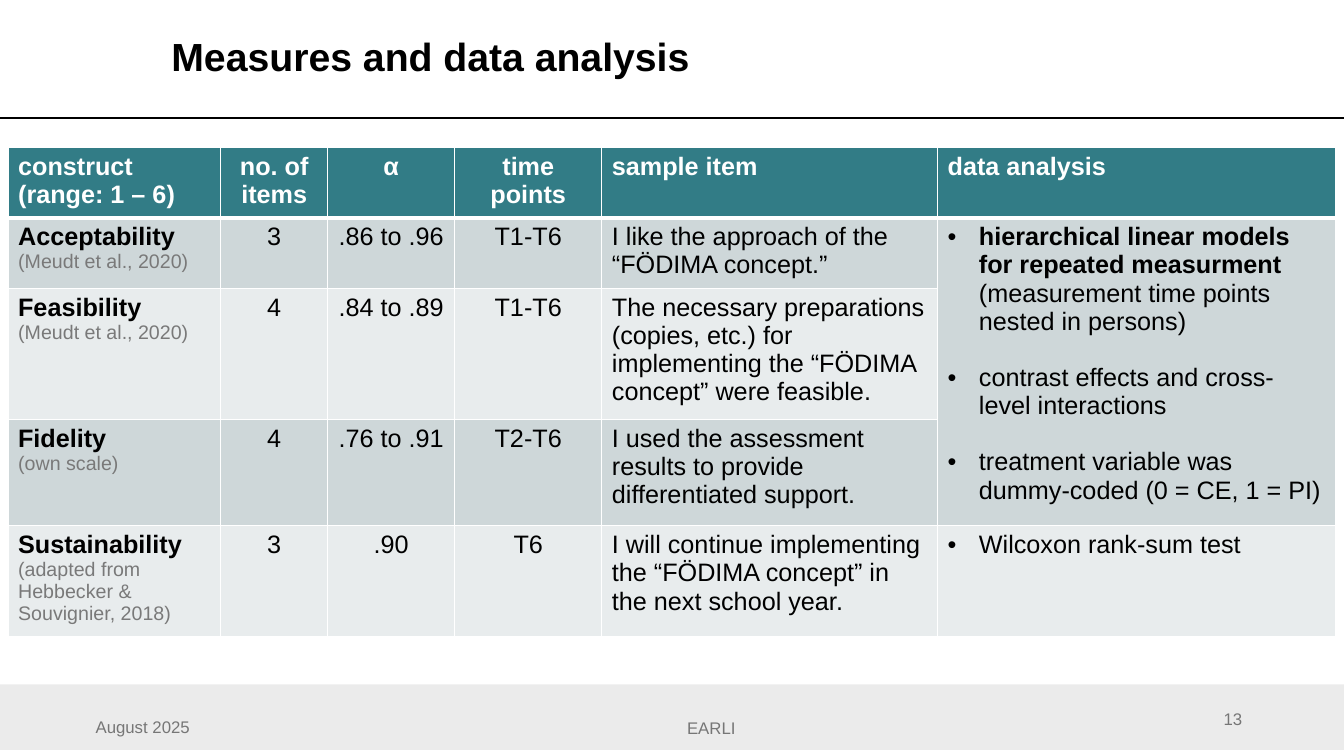
import pptx
import pptx.util
import pptx.dml.color
import pptx.enum.text
import pptx.enum.shapes
import pptx.oxml
import pptx.oxml.ns

Inch = pptx.util.Inches
Pt = pptx.util.Pt
ALIGN = pptx.enum.text.PP_ALIGN
MIDDLE = pptx.enum.text.MSO_ANCHOR.MIDDLE
TOP = pptx.enum.text.MSO_ANCHOR.TOP
WIDE, HIGH = 13.33, 7.5

TEAL, DARK, LIGHT = "327C86", "CED7D9", "E8ECED"
HEAD = {"size": Pt(18), "bold": True, "color": "FFFFFF"}
BODY = {"size": Pt(18), "bold": False, "color": "000000"}
NAME = {"size": Pt(18), "bold": True, "color": "000000"}
CITE = {"size": Pt(14), "bold": False, "color": "797979"}
FOOT = {"size": Pt(12), "bold": False, "color": "767676"}
TITLE = {"size": Pt(28), "bold": True, "color": "000000"}

COLS = [2.11, 1.06, 1.26, 1.46, 3.33, 3.95]
ROWS = [0.66, 0.7, 1.22, 0.98, 1.04]
TOPS = ["construct (range: 1 – 6)", "no. of items", "α", "time points",
        "sample item", "data analysis"]
SCALES = [
    ("Acceptability", "(Meudt et al., 2020)", "3", ".86 to .96", "T1-T6",
     "I like the approach of the “FÖDIMA concept.”"),
    ("Feasibility", "(Meudt et al., 2020)", "4", ".84 to .89", "T1-T6",
     "The necessary preparations (copies, etc.) for implementing the "
     "“FÖDIMA concept” were feasible."),
    ("Fidelity", "(own scale)", "4", ".76 to .91", "T2-T6",
     "I used the assessment results to provide differentiated support."),
    ("Sustainability", "(adapted from Hebbecker & Souvignier, 2018)", "3",
     ".90", "T6",
     "I will continue implementing the “FÖDIMA concept” in the next "
     "school year."),
]
MODELS = [
    [("hierarchical linear models for repeated measurment ", NAME),
     ("(measurement time points nested in persons)", BODY)],
    [("contrast effects and cross-level interactions", BODY)],
    [("treatment variable was dummy-coded (0 = CE, 1 = PI)", BODY)],
]
TEST = [[("Wilcoxon rank-sum test", BODY)]]


def tint(code):
    return pptx.dml.color.RGBColor.from_string(code)


def paint(fill, code):
    fill.solid()
    fill.fore_color.rgb = tint(code)


def write(par, text, look, align=ALIGN.LEFT):
    """Add one styled run to a paragraph."""
    par.alignment = align
    run = par.add_run()
    run.text = text
    run.font.name = "Arial"
    for key, val in look.items():
        if key == "color":
            run.font.color.rgb = tint(val)
        else:
            setattr(run.font, key, val)


def node(tag, attrs="", inner=""):
    space = pptx.oxml.ns.nsdecls("a")
    return pptx.oxml.parse_xml(f"<a:{tag} {space} {attrs}>{inner}</a:{tag}>")


def edge(cell, low):
    """Give a cell white borders, the lower one of the given width."""
    props = cell._tc.get_or_add_tcPr()
    ink = '<a:solidFill><a:srgbClr val="FFFFFF"/></a:solidFill>'
    for spot, (side, wide) in enumerate(zip("LRTB", (1, 1, 1, low))):
        props.insert(spot, node(f"ln{side}", f'w="{Pt(wide)}"', ink))


def bullets(cell, items):
    frame = cell.text_frame
    for spot, runs in enumerate(items):
        par = frame.add_paragraph() if spot else frame.paragraphs[0]
        props = par._p.get_or_add_pPr()
        props.set("marL", str(Inch(0.31)))
        props.set("indent", str(-Inch(0.31)))
        if spot:
            par.space_before = Pt(20)
        props.append(node("buFont", 'typeface="Arial"'))
        props.append(node("buChar", 'char="•"'))
        for text, look in runs:
            write(par, text, look)


def heading(slide, left, top, wide, high):
    title = slide.shapes.title
    spots = {"left": left, "top": top, "width": wide, "height": high}
    for key, val in spots.items():
        setattr(title, key, Inch(val))
    title.text_frame.vertical_anchor = MIDDLE
    par = title.text_frame.paragraphs[0]
    par.line_spacing = 0.9
    write(par, "Measures and data analysis", TITLE)

    # Rule across the slide
    y = Inch(1.17)
    rule = slide.shapes.add_connector(
        pptx.enum.shapes.MSO_CONNECTOR.STRAIGHT, 0, y, Inch(WIDE), y)
    rule.line.color.rgb = tint("000000")
    rule.line.width = Pt(1)
    rule._element.spPr.append(node("effectLst"))


def measures(slide, left, top):
    table = slide.shapes.add_table(
        len(ROWS), len(COLS), Inch(left), Inch(top),
        Inch(sum(COLS)), Inch(sum(ROWS))).table
    for col, wide in zip(table.columns, COLS):
        col.width = Inch(wide)
    for row, high in zip(table.rows, ROWS):
        row.height = Inch(high)

    # Fills and borders
    for r in range(len(ROWS)):
        for c in range(len(COLS)):
            cell = table.cell(r, c)
            paint(cell.fill, TEAL if r == 0 else DARK if r % 2 else LIGHT)
            edge(cell, 1 if r else 3)

    # Words: the short columns are centred
    def put(r, c, text, look):
        align = ALIGN.CENTER if c in (1, 2, 3) else ALIGN.LEFT
        write(table.cell(r, c).text_frame.paragraphs[0], text, look, align)

    for c, text in enumerate(TOPS):
        put(0, c, text, HEAD)
    for r, (name, cite, *rest) in enumerate(SCALES, 1):
        put(r, 0, name, NAME)
        table.cell(r, 0).text_frame.paragraphs[0].add_line_break()
        put(r, 0, cite, CITE)
        for c, text in enumerate(rest, 1):
            put(r, c, text, BODY)

    # Analysis column
    table.cell(1, 5).merge(table.cell(3, 5))
    bullets(table.cell(1, 5), MODELS)
    bullets(table.cell(4, 5), TEST)


def footer(slide, top, high):
    band = slide.shapes.add_shape(
        pptx.enum.shapes.MSO_SHAPE.RECTANGLE,
        0, Inch(top), Inch(WIDE), Inch(high))
    band.shadow.inherit = False
    band.line.fill.background()
    paint(band.fill, "D9D9D9")
    shade = band.fill._xPr.find(".//" + pptx.oxml.ns.qn("a:srgbClr"))
    shade.append(node("alpha", 'val="50000"'))

    notes = [
        ("August 2025", 0.85, 0.17, 3, ALIGN.LEFT, TOP, 1.5),
        ("EARLI", 4.91, 0.17, 4.29, ALIGN.CENTER, MIDDLE, 1.5),
        ("13", 9.42, 0.19, 3, ALIGN.RIGHT, TOP, 1.0),
    ]
    for text, left, drop, wide, align, anchor, gap in notes:
        box = slide.shapes.add_textbox(
            Inch(left), Inch(top + drop), Inch(wide), Inch(0.43))
        frame = box.text_frame
        frame.word_wrap = True
        frame.vertical_anchor = anchor
        frame.paragraphs[0].line_spacing = gap
        write(frame.paragraphs[0], text, FOOT, align)


def main():
    deck = pptx.Presentation()
    deck.slide_width, deck.slide_height = Inch(WIDE), Inch(HIGH)
    slide = deck.slides.add_slide(deck.slide_layouts[5])
    footer(slide, 6.79, 0.65)
    heading(slide, 1.6, 0.3, 10.22, 0.57)
    measures(slide, 0.08, 1.46)
    deck.save("out.pptx")


if __name__ == "__main__":
    main()
